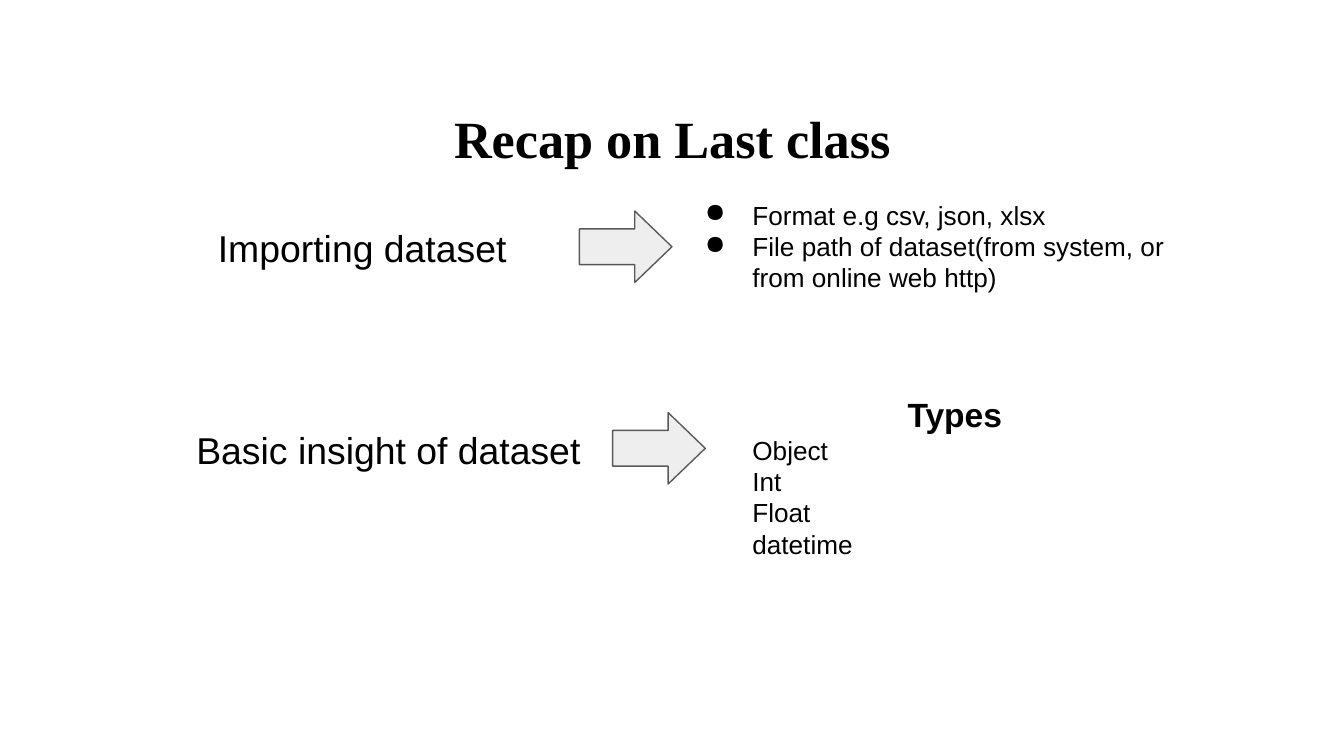
import dataclasses
import lxml.etree
import pptx
import pptx.dml.color
import pptx.enum.shapes
import pptx.enum.text
import pptx.oxml.ns
import pptx.util

Cm = pptx.util.Cm
Pt = pptx.util.Pt
ALIGN = pptx.enum.text.PP_ALIGN
ANCHOR = pptx.enum.text.MSO_ANCHOR
HUES = {"text": "000000", "fill": "EEEEEE", "edge": "595959"}


@dataclasses.dataclass
class Line:
    text: str
    size: int = 14
    bold: bool = False
    mid: bool = False
    dot: bool = False
    font: str = "Arial"
    space: float = 1.0


@dataclasses.dataclass
class Block:
    left: float
    top: float
    width: float
    height: float
    lines: list[Line]
    low: bool = False


@dataclasses.dataclass
class Arrow:
    left: float
    top: float


def hue(name: str) -> pptx.dml.color.RGBColor:
    return pptx.dml.color.RGBColor.from_string(HUES[name])


def add_dot(para) -> None:
    props = para._p.get_or_add_pPr()
    props.set("marL", str(Cm(1.27)))
    props.set("indent", str(-Cm(0.9)))
    tint = lxml.etree.SubElement(props, pptx.oxml.ns.qn("a:buClr"))
    lxml.etree.SubElement(tint, pptx.oxml.ns.qn("a:srgbClr"), val=HUES["text"])
    lxml.etree.SubElement(props, pptx.oxml.ns.qn("a:buChar"), char="●")


def add_block(slide, block: Block) -> None:
    box = slide.shapes.add_textbox(
        Cm(block.left), Cm(block.top), Cm(block.width), Cm(block.height))
    frame = box.text_frame
    frame.word_wrap = True
    frame.vertical_anchor = ANCHOR.BOTTOM if block.low else ANCHOR.TOP
    frame.margin_left = frame.margin_right = Cm(0.25)
    frame.margin_top = frame.margin_bottom = Cm(0.25)
    for rank, line in enumerate(block.lines):
        para = frame.add_paragraph() if rank else frame.paragraphs[0]
        para.alignment = ALIGN.CENTER if line.mid else ALIGN.LEFT
        para.line_spacing = line.space
        if line.dot:
            add_dot(para)
        run = para.add_run()
        run.text = line.text
        run.font.name = line.font
        run.font.size = Pt(line.size)
        run.font.bold = line.bold
        run.font.color.rgb = hue("text")


def add_arrow(slide, arrow: Arrow) -> None:
    shape = slide.shapes.add_shape(
        pptx.enum.shapes.MSO_SHAPE.RIGHT_ARROW,
        Cm(arrow.left), Cm(arrow.top), Cm(1.75), Cm(1.35))
    shape.shadow.inherit = False
    shape.adjustments[0] = 0.5
    shape.adjustments[1] = 0.52
    shape.fill.solid()
    shape.fill.fore_color.rgb = hue("fill")
    shape.line.color.rgb = hue("edge")
    shape.line.width = Pt(0.75)


BLOCKS = [
    Block(3.61, 4.01, 6.48, 1.35,
          [Line("Importing dataset", 20, mid=True)], low=True),
    Block(12.7, 3.51, 9.58, 2.31, [
        Line("Format e.g csv, json, xlsx", dot=True),
        Line("File path of dataset(from system, or from online web http)",
             dot=True)]),
    Block(7.14, 1.98, 11.13, 1.6,
          [Line("Recap on Last class", 28, bold=True, mid=True,
                font="Times New Roman", space=0.8)]),
    Block(3.18, 7.82, 8.33, 1.37,
          [Line("Basic insight of dataset", 20, mid=True)]),
    Block(13.97, 7.19, 8.33, 3.68, [
        Line("Types ", 18, bold=True, mid=True),
        *map(Line, ("Object", "Int", "Float", "datetime"))]),
]
ARROWS = [Arrow(10.95, 3.99), Arrow(11.58, 7.8)]


def main() -> None:
    deck = pptx.Presentation()
    deck.slide_width = Cm(25.4)
    deck.slide_height = Cm(14.29)
    slide = deck.slides.add_slide(deck.slide_layouts[6])
    for block in BLOCKS:
        add_block(slide, block)
    for arrow in ARROWS:
        add_arrow(slide, arrow)
    deck.save("out.pptx")


if __name__ == "__main__":
    main()
